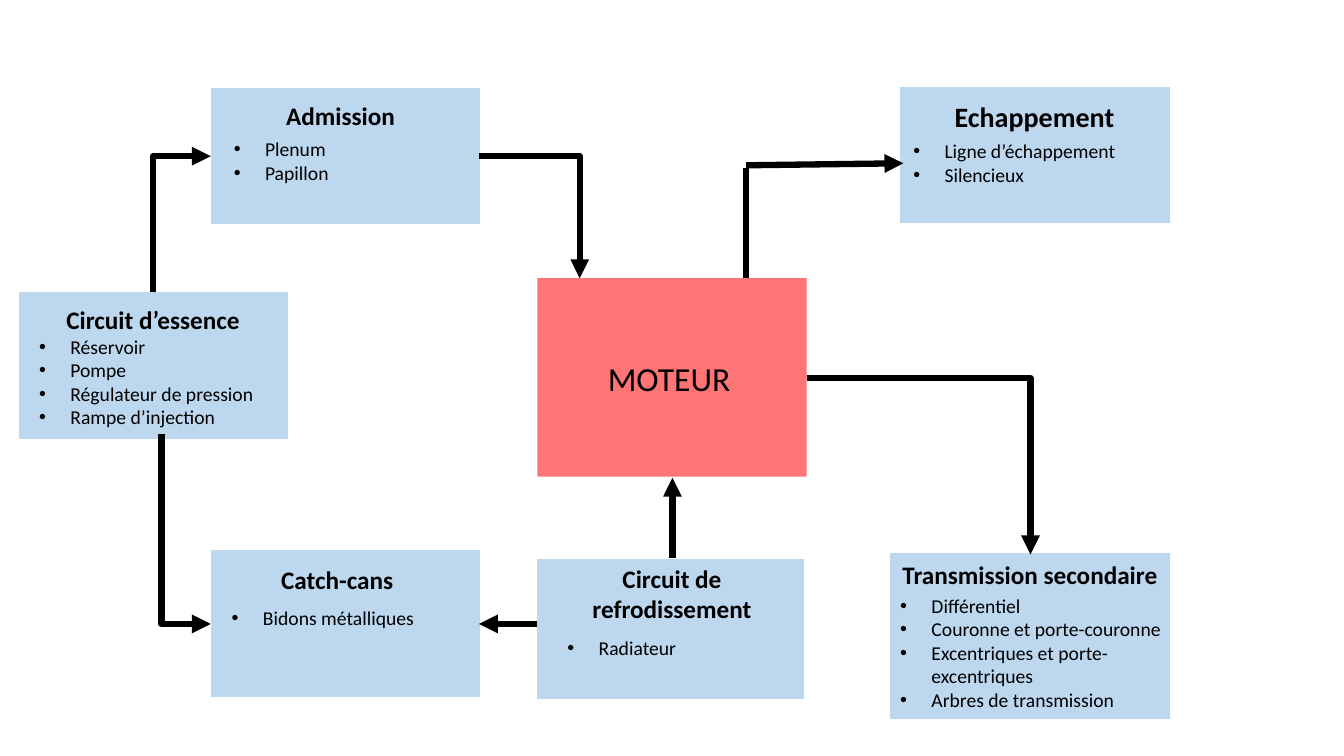
from lxml import etree
from pptx import Presentation
from pptx.dml.color import RGBColor
from pptx.enum import shapes, text
from pptx.oxml import ns
from pptx.util import Inches, Pt

BLACK = RGBColor(0x00, 0x00, 0x00)
BLUE = RGBColor(0xBD, 0xD7, 0xEE)
RED = RGBColor(0xFF, 0x75, 0x75)
LEFT, CENTER = text.PP_ALIGN.LEFT, text.PP_ALIGN.CENTER
PROCESS = shapes.MSO_SHAPE.FLOWCHART_PROCESS

# Each part: block, heading, heading area, heading format, items, items area
PARTS = [
    ((0.19, 2.9, 2.67, 1.46), "Circuit d’essence", (0.56, 2.97, 1.93, 0.4), {},
     ["Réservoir", "Pompe", "Régulateur de pression", "Rampe d’injection"],
     (0.29, 3.27, 2.46, 1.04)),
    ((2.09, 0.87, 2.67, 1.35), "Admission", (2.74, 0.95, 1.8, 0.4), {},
     ["Plenum", "Papillon"], (2.22, 1.31, 2.32, 0.57)),
    ((8.93, 0.86, 2.67, 1.35), "Echappement", (9.37, 0.94, 1.8, 0.44), {"size": 20},
     ["Ligne d’échappement", "Silencieux"], (8.96, 1.33, 2.54, 0.57)),
    ((5.33, 5.55, 2.64, 1.38), "Circuit de refrodissement", (5.33, 5.54, 2.67, 0.71),
     {"align": CENTER}, ["Radiateur"], (5.53, 6.26, 2.2, 0.34)),
    ((2.09, 5.46, 2.67, 1.46), "Catch-cans", (2.01, 5.55, 2.67, 0.4),
     {"align": CENTER}, ["Bidons métalliques"], (2.2, 5.96, 2.25, 0.34)),
    ((8.83, 5.49, 2.77, 1.64), "Transmission secondaire", (8.67, 5.5, 3.09, 0.4),
     {"align": CENTER},
     ["Différentiel", "Couronne et porte-couronne",
      "Excentriques et porte-excentriques", "Arbres de transmission"],
     (8.83, 5.84, 2.88, 1.51)),
]
ENGINE = (5.33, 2.76, 2.67, 1.97)
ENGINE_LABEL = (5.93, 3.5, 1.47, 0.5)

# Each link: start, end, format
LINKS = [
    ((1.52, 2.9), (2.09, 1.55), {"bend": "vertical"}),     # fuel to intake
    ((4.75, 1.55), (5.75, 2.76), {"bend": "horizontal"}),  # intake to engine
    ((7.4, 2.76), (7.4, 1.67), {"arrow": False}),          # engine to exhaust
    ((7.4, 1.64), (8.96, 1.62), {}),
    ((1.6, 4.31), (2.09, 6.19), {"bend": "vertical"}),     # fuel to catch-cans
    ((6.67, 5.54), (6.67, 4.74), {}),                      # cooling to engine
    ((5.33, 6.19), (4.75, 6.19), {}),                      # cooling to catch-cans
    ((8, 3.75), (10.22, 5.5), {"bend": "horizontal"}),     # engine to transmission
]


def add_block(page, area, color, kind=PROCESS):
    """Add a plain filled block without outline."""
    block = page.shapes.add_shape(kind, *map(Inches, area))
    block.shadow.inherit = False
    block.fill.solid()
    block.fill.fore_color.rgb = color
    block.line.fill.background()


def add_text(page, area, lines, size=18, bold=False, align=LEFT, bullets=False):
    """Add a text box with one paragraph per line."""
    box = page.shapes.add_textbox(*map(Inches, area))
    frame = box.text_frame
    frame.word_wrap = True
    frame.auto_size = text.MSO_AUTO_SIZE.SHAPE_TO_FIT_TEXT
    frame.text = "\n".join(lines)
    for para in frame.paragraphs:
        para.alignment = align
        font = para.runs[0].font
        font.name, font.size, font.bold = "Calibri", Pt(size), bold
        font.color.rgb = BLACK
        if bullets:
            props = para._p.get_or_add_pPr()
            indent = Inches(0.31)
            props.set("marL", str(indent))
            props.set("indent", str(-indent))
            etree.SubElement(props, ns.qn("a:buFont"), typeface="Arial")
            etree.SubElement(props, ns.qn("a:buChar"), char="•")


def add_link(page, start, end, bend=None, arrow=True):
    """Add a thick link, straight or with one bend; bend names its first leg."""
    kind = shapes.MSO_CONNECTOR.ELBOW if bend else shapes.MSO_CONNECTOR.STRAIGHT
    link = page.shapes.add_connector(kind, *map(Inches, start + end))
    props = link._element.spPr
    if bend:
        props.find(ns.qn("a:prstGeom")).set("prst", "bentConnector2")
    if bend == "vertical":
        turn_elbow(link, upward=end[1] < start[1])
    link.line.color.rgb = BLACK
    link.line.width = Pt(4.5)
    if arrow:
        etree.SubElement(link.line._get_or_add_ln(), ns.qn("a:tailEnd"), type="triangle")
    etree.SubElement(props, ns.qn("a:effectLst"))


def turn_elbow(link, upward):
    """Turn an elbow about its centre so that its first leg is vertical."""
    width, height = link.width, link.height
    link.left += (width - height) // 2
    link.top += (height - width) // 2
    link.width, link.height = height, width
    frame = link._element.spPr.find(ns.qn("a:xfrm"))
    frame.set("rot", str((90 if upward else 270) * 60000))
    frame.set("flipH", "1")
    frame.set("flipV", "1" if upward else "0")


deck = Presentation()
deck.slide_width, deck.slide_height = Inches(13.33), Inches(7.5)
page = deck.slides.add_slide(deck.slide_layouts[6])

for block, heading, heading_area, style, items, items_area in PARTS:
    add_block(page, block, BLUE)
    add_text(page, heading_area, [heading], bold=True, **style)
    add_text(page, items_area, items, size=14, bullets=True)

add_block(page, ENGINE, RED, shapes.MSO_SHAPE.RECTANGLE)
add_text(page, ENGINE_LABEL, ["MOTEUR"], size=24)

for start, end, style in LINKS:
    add_link(page, start, end, **style)

deck.save("out.pptx")
